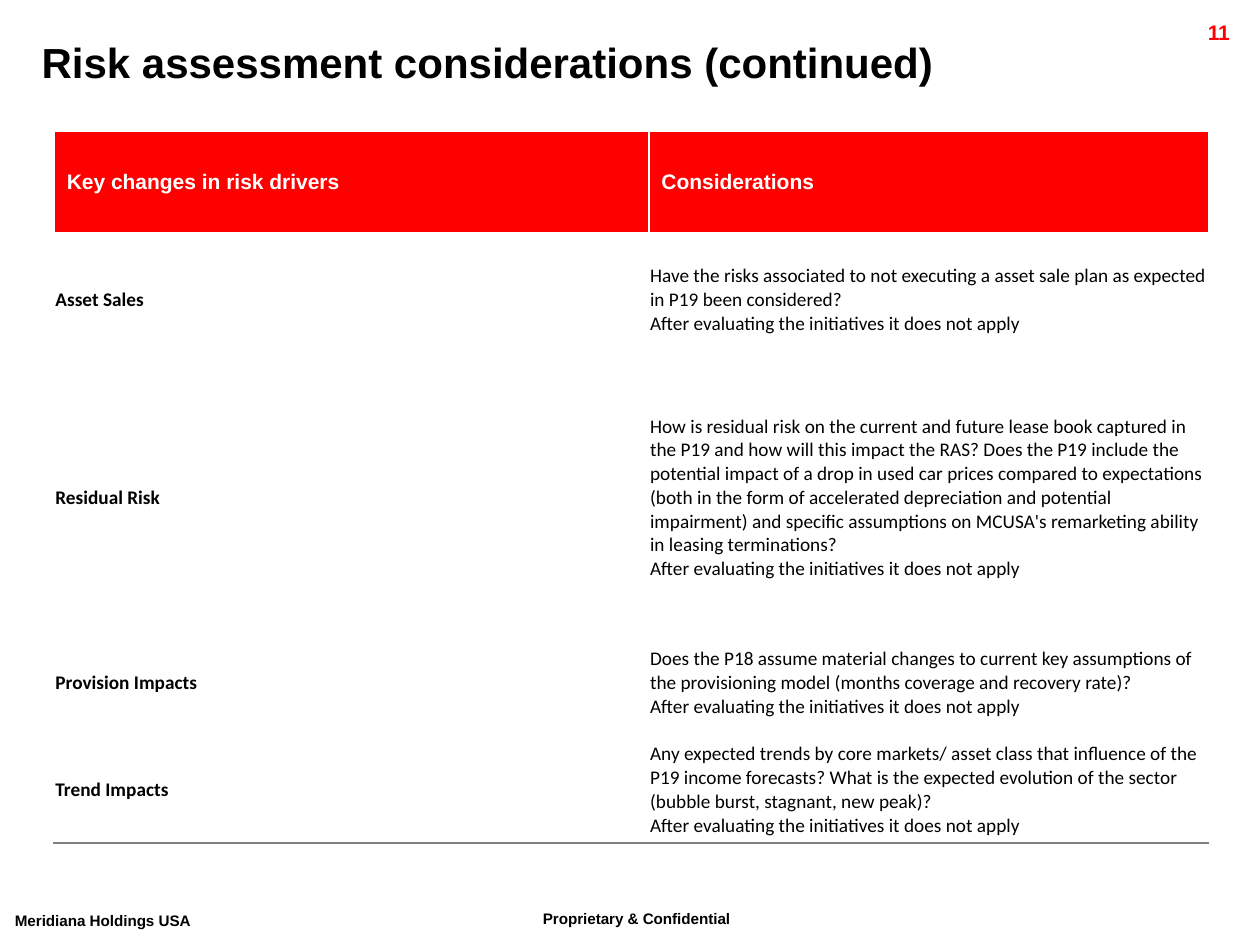
from pptx import Presentation
from pptx.dml.color import RGBColor as RGB
from pptx.enum.text import MSO_ANCHOR as Anchor, PP_ALIGN as Align
from pptx.oxml import parse_xml
from pptx.oxml.ns import nsdecls
from pptx.util import Inches, Pt

RED = RGB(255, 0, 0)
BLACK = RGB(0, 0, 0)
WHITE = RGB(255, 255, 255)
GREY = RGB(128, 128, 128)

TITLE = "Risk assessment considerations (continued)"
HEADS = ["Key changes in risk drivers", "Considerations"]
CLOSING = "After evaluating the initiatives it does not apply"
RISKS = [
    ("Asset Sales",
     "Have the risks associated to not executing a asset sale plan as expected "
     "in P19 been considered?"),
    ("Residual Risk",
     "How is residual risk on the current and future lease book captured in the "
     "P19 and how will this impact the RAS? Does the P19 include the potential "
     "impact of a drop in used car prices compared to expectations (both in the "
     "form of accelerated depreciation and potential impairment) and specific "
     "assumptions on MCUSA's remarketing ability in leasing terminations?"),
    ("Provision Impacts",
     "Does the P18 assume material changes to current key assumptions of the "
     "provisioning model (months coverage and recovery rate)?"),
    ("Trend Impacts",
     "Any expected trends by core markets/ asset class that influence of the "
     "P19 income forecasts? What is the expected evolution of the sector "
     "(bubble burst, stagnant, new peak)?"),
]
FOOTERS = [
    ("Proprietary & Confidential", (4.21, 7.14, 2.18, 0.35), True),
    ("Meridiana Holdings USA", (0.02, 7.16, 1.91, 0.35), False),
]
COLS = [4.72, 4.44]
ROWS = [0.81, 1.05, 2.09, 0.85, 0.85]


def style(frame, size, color, face="Arial", bold=True, align=Align.LEFT):
    for para in frame.paragraphs:
        para.alignment = align
        for run in para.runs:
            font = run.font
            font.name, font.size, font.bold = face, Pt(size), bold
            font.color.rgb = color


def add_text(slide, text, box, wrap=True):
    frame = slide.shapes.add_textbox(*map(Inches, box)).text_frame
    frame.word_wrap = wrap
    frame.text = text
    return frame


def rule_below(cell):
    cell._tc.get_or_add_tcPr().append(parse_xml(
        f'<a:lnB {nsdecls("a")} w="{Pt(1)}"><a:solidFill>'
        f'<a:srgbClr val="{GREY}"/></a:solidFill></a:lnB>'))


def add_title(slide):
    title = slide.shapes.title
    title.left, title.top, title.width, title.height = map(
        Inches, (0.23, 0.24, 9.82, 0.5))
    frame = title.text_frame
    frame.text = TITLE
    frame.word_wrap = True
    frame.vertical_anchor = Anchor.TOP
    style(frame, 24, BLACK)


def add_risks(slide):
    shape = slide.shapes.add_table(
        len(ROWS), len(COLS), Inches(0.43), Inches(1.04),
        Inches(sum(COLS)), Inches(sum(ROWS)))
    table = shape.table
    table.horz_banding = False
    for col, width in zip(table.columns, COLS):
        col.width = Inches(width)
    for row, height in zip(table.rows, ROWS):
        row.height = Inches(height)
    body = [(name, f"{ask}\n{CLOSING}") for name, ask in RISKS]
    for r, texts in enumerate([HEADS] + body):
        for c, text in enumerate(texts):
            cell = table.cell(r, c)
            cell.text_frame.text = text
            cell.vertical_anchor = Anchor.MIDDLE
            rule_below(cell)
            if r == 0:
                cell.fill.solid()
                cell.fill.fore_color.rgb = RED
                style(cell.text_frame, 12, WHITE)
            else:
                cell.fill.background()
                cell.margin_left = cell.margin_right = Inches(0.01)
                cell.margin_top, cell.margin_bottom = Inches(0.01), 0
                style(cell.text_frame, 11, BLACK, "Calibri", c == 0)


def main():
    deck = Presentation()
    deck.slide_width, deck.slide_height = Inches(10), Inches(7.5)
    slide = deck.slides.add_slide(deck.slide_layouts[5])
    for text, box, wrap in FOOTERS:
        frame = add_text(slide, text, box, wrap)
        style(frame, 15, BLACK)
        run = frame.paragraphs[0].runs[0]
        run.font._element.set("baseline", "30000")
    page = add_text(slide, "11", (8.91, 0.11, 0.95, 0.24))
    style(page, 12, RED, align=Align.RIGHT)
    add_title(slide)
    add_risks(slide)
    deck.save("out.pptx")


if __name__ == "__main__":
    main()
